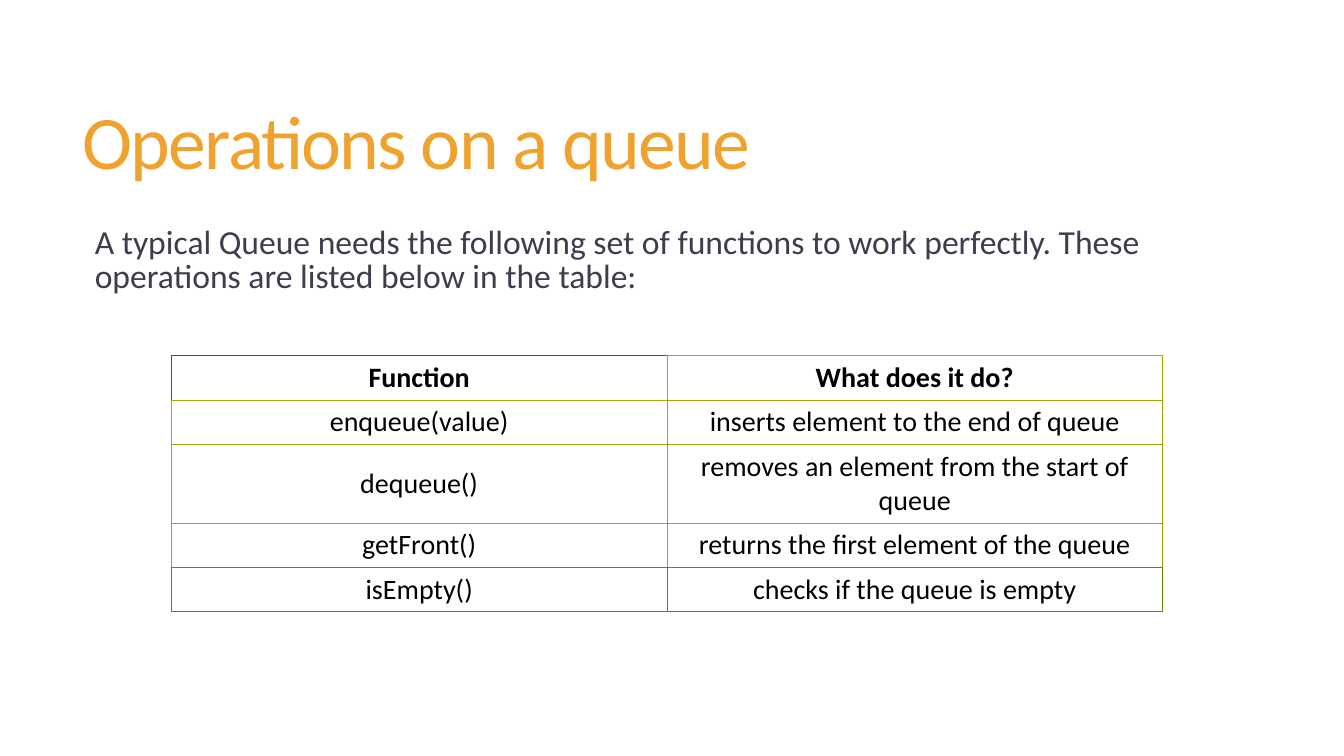
from lxml.etree import SubElement
from pptx import Presentation
from pptx.dml.color import RGBColor
from pptx.enum.text import MSO_ANCHOR, PP_ALIGN
from pptx.oxml.ns import qn
from pptx.util import Inches, Pt

COLORS = {
    "title": "F0A22E", "body": "3D3D4E", "cell": "000000", "paper": "FFFFFF",
    "red": "C01E11", "lime": "A0AC00", "olive": "A0A600", "green": "608900",
}
FORMATS = {
    "title": {"name": "Calibri", "size": Pt(54)},
    "body": {"name": "Calibri", "size": Pt(24)},
    "header": {"name": "Calibri", "size": Pt(20), "bold": True},
    "cell": {"name": "Calibri", "size": Pt(20), "bold": False},
}
OPERATIONS = [
    ("Function", "What does it do?"),
    ("enqueue(value)", "inserts element to the end of queue"),
    ("dequeue()", "removes an element from the start of queue"),
    ("getFront()", "returns the first element of the queue"),
    ("isEmpty()", "checks if the queue is empty"),
]
ROW_HEIGHTS = [0.44, 0.44, 0.78, 0.44, 0.44]
SIDES = ("lnL", "lnR", "lnT", "lnB")
PLAIN = ("olive",) * 4
CLOSING = ("olive", "olive", "olive", "green")
BORDERS = {
    (0, 0): ("red", "lime", "red", "lime"),
    (0, 1): ("lime", "lime", "lime", "olive"),
    (1, 0): ("lime", "olive", "lime", "olive"),
    (3, 0): CLOSING, (3, 1): CLOSING,
    (4, 0): ("green",) * 4, (4, 1): ("green",) * 4,
}


def write(paragraph, text, style, color):
    """Add one formatted run to a paragraph and return it."""
    run = paragraph.add_run()
    run.text = text
    for attribute, value in FORMATS[style].items():
        setattr(run.font, attribute, value)
    run.font.color.rgb = RGBColor.from_string(COLORS[color])
    return run


def add_words(slide, box, text, style, anchor, inset):
    """Place a wrapped block of text in the box and return its run."""
    frame = slide.shapes.add_textbox(*map(Inches, box)).text_frame
    layout = {"word_wrap": True, "vertical_anchor": anchor, "margin_left": Inches(inset)}
    for attribute, value in layout.items():
        setattr(frame, attribute, value)
    paragraph = frame.paragraphs[0]
    paragraph.line_spacing = 0.85
    return write(paragraph, text, style, style)


def add_title(slide, box):
    """Place the tightly spaced slide title."""
    title = add_words(slide, box, "Operations on a queue", "title", MSO_ANCHOR.MIDDLE, 0.1)
    title.font._element.set("spc", "-120")


def add_introduction(slide, box):
    """Place the sentence that introduces the table."""
    sentence = ("A typical Queue needs the following set of functions to work perfectly. "
                "These operations are listed below in the table:")
    add_words(slide, box, sentence, "body", MSO_ANCHOR.TOP, 0.2)


def draw_borders(cell, colors):
    """Draw the left, right, top and bottom borders of a cell."""
    properties = cell._tc.get_or_add_tcPr()
    for position, (side, color) in enumerate(zip(SIDES, colors)):
        border = SubElement(properties, qn(f"a:{side}"), w=str(Pt(0.75)))
        fill = SubElement(border, qn("a:solidFill"))
        SubElement(fill, qn("a:srgbClr"), val=COLORS[color])
        properties.insert(position, border)


def add_operations(slide, box):
    """Place the table of queue functions."""
    table = slide.shapes.add_table(
        len(OPERATIONS), len(OPERATIONS[0]), *map(Inches, box)).table
    for row, height in zip(table.rows, ROW_HEIGHTS):
        row.height = Inches(height)
    for r, operation in enumerate(OPERATIONS):
        for c, text in enumerate(operation):
            cell = table.cell(r, c)
            cell.fill.solid()
            cell.fill.fore_color.rgb = RGBColor.from_string(COLORS["paper"])
            cell.vertical_anchor = MSO_ANCHOR.MIDDLE
            paragraph = cell.text_frame.paragraphs[0]
            paragraph.alignment = PP_ALIGN.CENTER
            write(paragraph, text, "cell" if r else "header", "cell")
            draw_borders(cell, BORDERS.get((r, c), PLAIN))


def main():
    """Build the slide and save it."""
    presentation = Presentation()
    presentation.slide_width = Inches(13.33)
    presentation.slide_height = Inches(7.5)
    slide = presentation.slides.add_slide(presentation.slide_layouts[6])
    add_title(slide, (0.72, 0.55, 11.78, 1.81))
    add_introduction(slide, (0.74, 2.2, 11.76, 4.12))
    add_operations(slide, (1.7, 3.53, 9.83, sum(ROW_HEIGHTS)))
    presentation.save("out.pptx")


if __name__ == "__main__":
    main()
